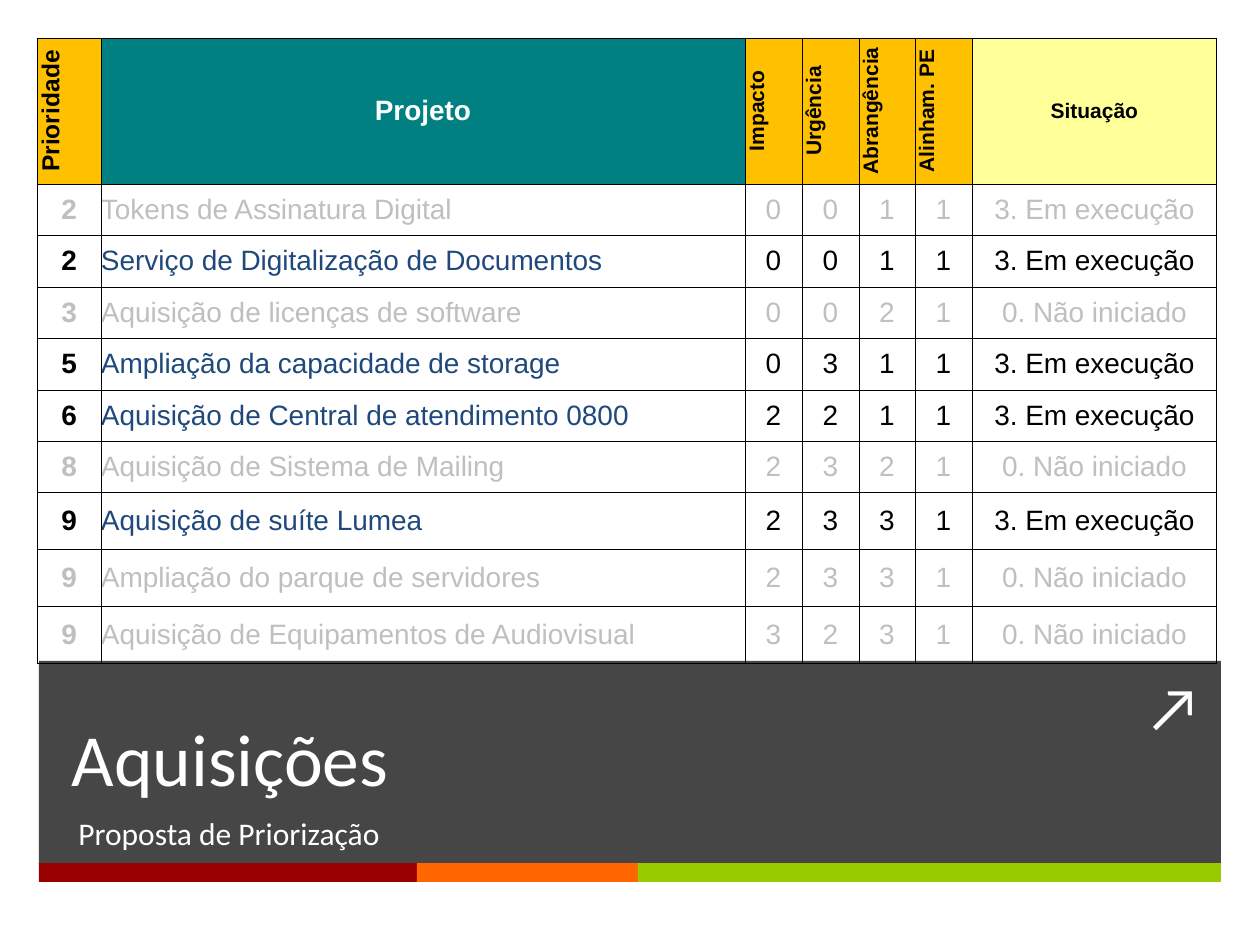
from itertools import pairwise

from pptx import Presentation
from pptx.dml.color import RGBColor
from pptx.enum.shapes import MSO_SHAPE as Preset
from pptx.enum.text import MSO_ANCHOR as Anchor, MSO_AUTO_SIZE as AutoSize, PP_ALIGN as Align
from pptx.oxml import parse_xml
from pptx.oxml.ns import nsdecls, qn
from pptx.util import Pt

PX = 914400 / 126  # EMU in one px

COLORS = {
    "band": "262626", "red": "990000", "orange": "FF6600", "green": "99CC00",
    "white": "FFFFFF", "black": "000000", "amber": "FFC000", "teal": "008080",
    "cream": "FFFF99", "muted": "BFBFBF", "navy": "1F497D",
}

# Table grid lines
COLUMN_EDGES = [37, 101, 745, 802, 859, 915, 972, 1217]
ROW_EDGES = [38, 184, 235, 287, 338, 390, 441, 492, 549, 606, 663]

# Header: text, fill, text colour, size, vertical
HEADERS = [
    ("Prioridade", "amber", "black", 14, True),
    ("Projeto", "teal", "white", 16, False),
    ("Impacto", "amber", "black", 12, True),
    ("Urgência", "amber", "black", 12, True),
    ("Abrangência", "amber", "black", 12, True),
    ("Alinham. PE", "amber", "black", 12, True),
    ("Situação", "cream", "black", 12, False),
]

RUNNING, PENDING = "3. Em execução", "0. Não iniciado"

# Project: highlighted, then the seven cell values
PROJECTS = [
    (False, 2, "Tokens de Assinatura Digital", 0, 0, 1, 1, RUNNING),
    (True, 2, "Serviço de Digitalização de Documentos", 0, 0, 1, 1, RUNNING),
    (False, 3, "Aquisição de licenças de software", 0, 0, 2, 1, PENDING),
    (True, 5, "Ampliação da capacidade de storage", 0, 3, 1, 1, RUNNING),
    (True, 6, "Aquisição de Central de atendimento 0800", 2, 2, 1, 1, RUNNING),
    (False, 8, "Aquisição de Sistema de Mailing", 2, 3, 2, 1, PENDING),
    (True, 9, "Aquisição de suíte Lumea", 2, 3, 3, 1, RUNNING),
    (False, 9, "Ampliação do parque de servidores", 2, 3, 3, 1, PENDING),
    (False, 9, "Aquisição de Equipamentos de Audiovisual", 3, 2, 3, 1, PENDING),
]


def px(value):
    return round(value * PX)


def rgb(name):
    return RGBColor.from_string(COLORS[name])


def set_values(target, values):
    for name, value in values.items():
        setattr(target, name, value)


def write_text(text_frame, text, color, size, font="Calibri", bold=False, align=Align.LEFT):
    paragraph = text_frame.paragraphs[0]
    paragraph.alignment = align
    run = paragraph.add_run()
    run.text = text
    set_values(run.font, {"name": font, "size": Pt(size), "bold": bold})
    run.font.color.rgb = rgb(color)


def add_bar(slide, color, left, top, width, height, opacity=None):
    shape = slide.shapes.add_shape(Preset.RECTANGLE, px(left), px(top), px(width), px(height))
    shape.shadow.inherit = False
    shape.line.fill.background()
    shape.fill.solid()
    shape.fill.fore_color.rgb = rgb(color)
    if opacity is not None:
        color_element = shape.element.spPr.find(".//" + qn("a:srgbClr"))
        color_element.append(parse_xml(f'<a:alpha {nsdecls("a")} val="{opacity * 1000}"/>'))


def add_label(slide, text, size, left, top, width, height, **frame_format):
    box = slide.shapes.add_textbox(px(left), px(top), px(width), px(height))
    set_values(box.text_frame, {"word_wrap": True} | frame_format)
    write_text(box.text_frame, text, "white", size)


def place_title(slide, text, left, top, width, height):
    title = slide.shapes.title
    set_values(title, {"left": px(left), "top": px(top), "width": px(width), "height": px(height)})
    set_values(title.text_frame, {"vertical_anchor": Anchor.BOTTOM, "auto_size": AutoSize.NONE})
    write_text(title.text_frame, text, "white", 42)
    title.element.getparent().append(title.element)  # bring in front of the band


def format_cell(cell, fill=None, vertical=False):
    set_values(cell, {"margin_left": 0, "margin_right": 0, "margin_top": 0,
                      "margin_bottom": 0, "vertical_anchor": Anchor.MIDDLE})
    if fill:
        cell.fill.solid()
        cell.fill.fore_color.rgb = rgb(fill)
    else:
        cell.fill.background()
    properties = cell._tc.get_or_add_tcPr()
    if vertical:
        properties.set("vert", "vert270")
    for index, side in enumerate(("lnL", "lnR", "lnT", "lnB")):
        properties.insert(index, parse_xml(
            f'<a:{side} {nsdecls("a")} w="{Pt(0.5)}"><a:solidFill>'
            f'<a:srgbClr val="{COLORS["black"]}"/></a:solidFill></a:{side}>'))


def add_priority_table(slide):
    left, top = COLUMN_EDGES[0], ROW_EDGES[0]
    frame = slide.shapes.add_table(
        len(ROW_EDGES) - 1, len(COLUMN_EDGES) - 1, px(left), px(top),
        px(COLUMN_EDGES[-1] - left), px(ROW_EDGES[-1] - top))
    table = frame.table
    set_values(table, {"first_row": False, "horz_banding": False})
    for column, (start, end) in zip(table.columns, pairwise(COLUMN_EDGES)):
        column.width = px(end - start)
    for row, (start, end) in zip(table.rows, pairwise(ROW_EDGES)):
        row.height = px(end - start)

    for column, (text, fill, color, size, vertical) in enumerate(HEADERS):
        cell = table.cell(0, column)
        format_cell(cell, fill, vertical)
        write_text(cell.text_frame, text, color, size, "Arial", True, Align.CENTER)

    for row, (highlighted, *values) in enumerate(PROJECTS, start=1):
        for column, value in enumerate(values):
            cell = table.cell(row, column)
            is_name = column == 1
            color = ("navy" if is_name else "black") if highlighted else "muted"
            format_cell(cell)
            write_text(cell.text_frame, str(value), color, 16, "Arial", column == 0,
                       Align.LEFT if is_name else Align.CENTER)


def main():
    presentation = Presentation()
    set_values(presentation, {"slide_width": px(1260), "slide_height": px(945)})
    slide = presentation.slides.add_slide(presentation.slide_layouts[5])

    # Title band with its colour strip
    add_bar(slide, "band", 39, 661, 1182, 203, opacity=85)
    strip_edges = [39, 417, 638, 1221]
    for color, (start, end) in zip(("red", "orange", "green"), pairwise(strip_edges)):
        add_bar(slide, color, start, 863, end - start, 19)

    # Band text
    add_label(slide, "↗", 36, 1134, 661, 81, 89,
              word_wrap=False, auto_size=AutoSize.SHAPE_TO_FIT_TEXT)
    place_title(slide, "Aquisições", 59, 663, 1071, 145)
    add_label(slide, "Proposta de Priorização", 18, 66, 808, 1066, 55)

    add_priority_table(slide)
    presentation.save("out.pptx")


if __name__ == "__main__":
    main()
